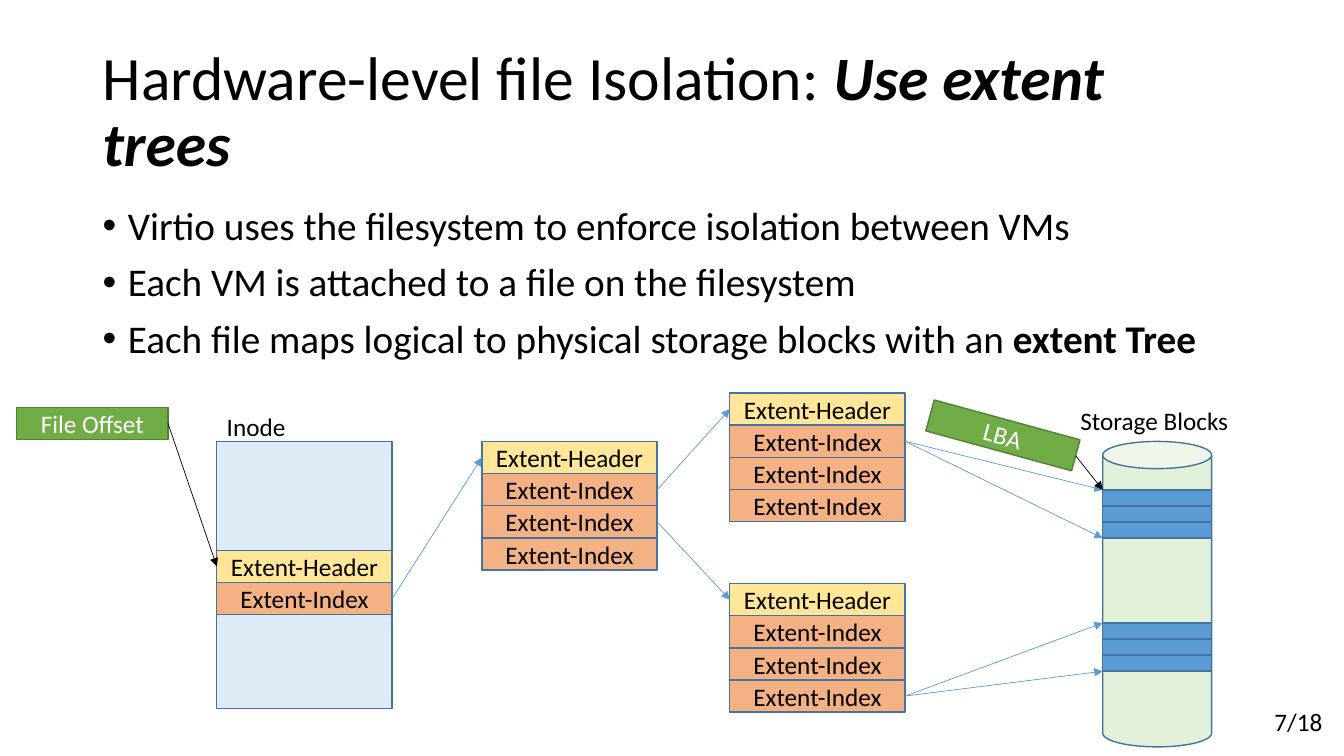
from collections import namedtuple
from lxml import etree
from pptx import Presentation, util as u
from pptx.dml.color import RGBColor
from pptx.enum import shapes, text
from pptx.oxml import ns

COLORS = {
    "ink": "000000", "white": "FFFFFF", "outline": "43739E", "inode": "DEEBF7",
    "header": "FFE699", "index": "F4B183", "disk": "E2F0D9", "block": "5B9BD5",
    "tag": "70AD47", "tag_edge": "538035",
}
FONT = "Calibri"
# Lengths are hundredths of the slide's width and height
COL, ROW = u.Inches(13.333) / 100, u.Inches(7.5) / 100
ENTRY_W, ENTRY_H, BLOCK_H = 13.05, 4.25, 2.13
RECT, CAN = shapes.MSO_SHAPE.RECTANGLE, shapes.MSO_SHAPE.CAN
CENTER = text.PP_ALIGN.CENTER
MIDDLE = text.MSO_ANCHOR.MIDDLE


class Box(namedtuple("Box", "x y w h")):
    @property
    def left(self):
        return self.x, self.y + self.h / 2

    @property
    def right(self):
        return self.x + self.w, self.y + self.h / 2

    def emu(self):
        return (round(self.x * COL), round(self.y * ROW),
                round(self.w * COL), round(self.h * ROW))


def rgb(name):
    return RGBColor.from_string(COLORS[name])


def write(paragraph, runs, size=18, color="ink"):
    for words, bold, italic in runs:
        run = paragraph.add_run()
        run.text = words
        font = run.font
        font.name, font.size = FONT, u.Pt(size)
        font.bold, font.italic = bold, italic
        font.color.rgb = rgb(color)


def plain(words):
    return [(words, False, False)]


def label(slide, box, runs, size=18, align=None, anchor=None, wrap=True):
    frame = slide.shapes.add_textbox(*box.emu()).text_frame
    frame.word_wrap = wrap
    frame.vertical_anchor = anchor
    frame.paragraphs[0].alignment = align
    write(frame.paragraphs[0], runs, size)
    return frame


def block(slide, box, fill, words="", kind=RECT, edge="outline", color="ink"):
    shape = slide.shapes.add_shape(kind, *box.emu())
    shape.shadow.inherit = False
    shape.fill.solid()
    shape.fill.fore_color.rgb = rgb(fill)
    shape.line.color.rgb = rgb(edge)
    shape.line.width = u.Pt(1)
    if words:
        shape.text_frame.vertical_anchor = MIDDLE
        shape.text_frame.paragraphs[0].alignment = CENTER
        write(shape.text_frame.paragraphs[0], plain(words), color=color)
    return shape


def arrow(slide, start, end, color="block"):
    link = slide.shapes.add_connector(
        shapes.MSO_CONNECTOR.STRAIGHT,
        round(start[0] * COL), round(start[1] * ROW),
        round(end[0] * COL), round(end[1] * ROW))
    link.line.color.rgb = rgb(color)
    link.line.width = u.Pt(0.5)
    etree.SubElement(link.line._get_or_add_ln(), ns.qn("a:tailEnd"), type="triangle")
    etree.SubElement(link._element.spPr, ns.qn("a:effectLst"))


def heading(slide, box):
    frame = label(slide, box, [("Hardware-level file Isolation: ", False, False),
                               ("Use extent trees", True, True)], 44, anchor=MIDDLE)
    frame.paragraphs[0].line_spacing = 0.9


def bullets(slide, box):
    points = [
        plain("Virtio uses the filesystem to enforce isolation between VMs"),
        plain("Each VM is attached to a file on the filesystem"),
        plain("Each file maps logical to physical storage blocks with an ")
        + [("extent Tree", True, False)],
    ]
    frame = slide.shapes.add_textbox(*box.emu()).text_frame
    frame.word_wrap = True
    for number, runs in enumerate(points):
        point = frame.add_paragraph() if number else frame.paragraphs[0]
        point.line_spacing, point.space_before = 0.9, u.Pt(10)
        props = point._p.get_or_add_pPr()
        props.set("marL", str(u.Inches(0.25)))
        props.set("indent", str(-u.Inches(0.25)))
        etree.SubElement(props, ns.qn("a:buFont"), typeface="Arial")
        etree.SubElement(props, ns.qn("a:buChar"), char="\u2022")
        write(point, runs, 28)


def extent_node(slide, x, y, indexes=3):
    """Stack a header over its indexes and return their boxes."""
    entries = [Box(x, y + i * ENTRY_H, ENTRY_W, ENTRY_H) for i in range(indexes + 1)]
    block(slide, entries[0], "header", "Extent-Header")
    for entry in entries[1:]:
        block(slide, entry, "index", "Extent-Index")
    return entries


def inode(slide, box):
    block(slide, box, "inode")
    label(slide, Box(box.x, box.y - 4.67, 8.1, 5.33), plain("Inode"))
    return extent_node(slide, box.x, box.y + 14.4, indexes=1)


def storage(slide, box):
    """Draw the disk and return the first and last edge of each extent."""
    block(slide, box, "disk", kind=CAN)
    label(slide, Box(box.x - 2.4, box.y - 5.47, 12.98, 5.33),
          plain("Storage Blocks"), wrap=False)
    extents = []
    for top in (box.y + 6.4, box.y + 24):
        for i in range(3):
            block(slide, Box(box.x, top + i * BLOCK_H, box.w, BLOCK_H), "block")
        extents.append([(box.x, top), (box.x, top + 3 * BLOCK_H)])
    return extents


def tag(slide, box, words, angle=0):
    block(slide, box, "tag", words, edge="tag_edge", color="white").rotation = angle
    return box


def extent_tree(slide, box):
    # Nodes from the inode to the disk
    inode_entries = inode(slide, Box(box.x + 14.88, box.y + 6.4, ENTRY_W, 35.33))
    root = extent_node(slide, box.x + 34.6, box.y + 6.4)
    upper = extent_node(slide, box.x + 53.05, box.y)
    lower = extent_node(slide, box.x + 53.05, box.y + 25.2)
    upper_extent, lower_extent = storage(
        slide, Box(box.x + 80.8, box.y + 6.4, 8.1, 40.4))
    # Links down the tree
    arrow(slide, inode_entries[1].right, root[0].left)
    arrow(slide, root[1].right, upper[0].left)
    arrow(slide, root[2].right, lower[0].left)
    for leaf, extent in ((upper[1], upper_extent), (lower[3], lower_extent)):
        for edge in extent:
            arrow(slide, leaf.right, edge)
    # Address going in and address coming out
    offset = tag(slide, Box(box.x, box.y + 1.87, 11.25, ENTRY_H), "File Offset")
    arrow(slide, offset.right, inode_entries[0].left, "ink")
    tag(slide, Box(box.x + 67.75, box.y + 3.47, 11.25, ENTRY_H), "LBA", 15.3)
    arrow(slide, (box.x + 78.78, box.y + 8.27), upper_extent[0], "ink")


def page_number(slide, box):
    label(slide, box, plain("7/18"), align=CENTER, wrap=False)


def main():
    deck = Presentation()
    deck.slide_width, deck.slide_height = round(100 * COL), round(100 * ROW)
    slide = deck.slides.add_slide(deck.slide_layouts[6])
    page_number(slide, Box(93.15, 92.8, 6.9, 5.33))
    heading(slide, Box(6.9, 5.33, 86.25, 19.33))
    bullets(slide, Box(6.9, 26.67, 86.25, 63.47))
    extent_tree(slide, Box(1.25, 52, 89, 47))
    deck.save("out.pptx")


main()
